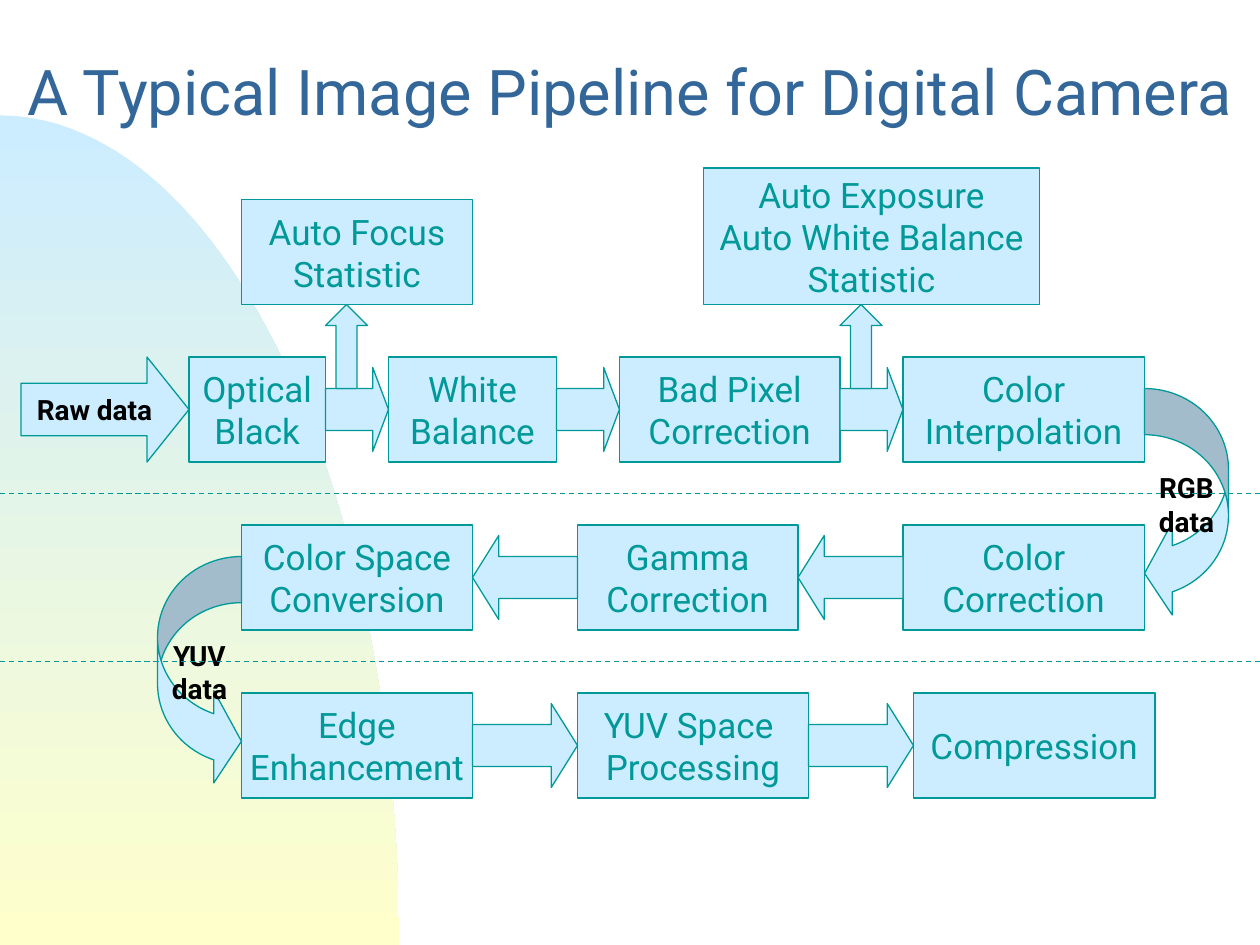
"""Draw the processing stages of a digital camera image pipeline."""
from dataclasses import dataclass
from itertools import pairwise
from math import cos, pi, sin

from lxml.etree import SubElement
from pptx import Presentation
from pptx.dml.color import RGBColor
from pptx.enum.dml import MSO_LINE_DASH_STYLE as Dash
from pptx.enum.shapes import MSO_CONNECTOR as Link, MSO_SHAPE as Kind
from pptx.enum.text import MSO_ANCHOR as Anchor, PP_ALIGN as Align
from pptx.oxml.ns import qn
from pptx.util import Cm, Pt

COLORS = {
    "title": "336699",
    "teal": "009999",
    "sky": "CCECFF",
    "cream": "FFFFCC",
    "label": "010000",
}
FONT = "Roboto"
STEP = 2.54 / 12
PAGE_WIDTH, PAGE_HEIGHT = 120, 90
ROW_HEIGHT, ARROW_HEIGHT = 10, 8


@dataclass(frozen=True)
class Stage:
    """A labelled box, measured in grid steps."""
    label: str
    left: int
    width: int


@dataclass(frozen=True)
class Row:
    """A chain of stages joined by arrows of one kind."""
    top: int
    arrow: Kind
    stages: tuple[Stage, ...]


@dataclass(frozen=True)
class Turn:
    """A curved arrow that leads from one row to the next."""
    kind: Kind
    label: str
    left: int
    top: int


ROWS = (
    Row(34, Kind.RIGHT_ARROW, (
        Stage("Optical\nBlack", 18, 13),
        Stage("White\nBalance", 37, 16),
        Stage("Bad Pixel\nCorrection", 59, 21),
        Stage("Color\nInterpolation", 86, 23),
    )),
    Row(50, Kind.LEFT_ARROW, (
        Stage("Color Space\nConversion", 23, 22),
        Stage("Gamma\nCorrection", 55, 21),
        Stage("Color\nCorrection", 86, 23),
    )),
    Row(66, Kind.RIGHT_ARROW, (
        Stage("Edge\nEnhancement", 23, 22),
        Stage("YUV Space \nProcessing", 55, 22),
        Stage("Compression", 87, 23),
    )),
)
TURNS = (
    Turn(Kind.CURVED_LEFT_ARROW, "RGB\ndata", 109, 37),
    Turn(Kind.CURVED_RIGHT_ARROW, "YUV\ndata", 15, 53),
)


def grid(steps: float) -> Cm:
    """Convert grid steps to a length."""
    return Cm(steps * STEP)


def color(name: str) -> RGBColor:
    """Look up a named colour."""
    return RGBColor.from_string(COLORS[name])


def write(box, text: str, *, size: int = 20, tint: str = "teal", bold: bool = False,
          wrap: bool = False, spacing: float | None = None) -> None:
    """Put centred text into a box."""
    frame = box.text_frame
    frame.word_wrap = wrap
    frame.vertical_anchor = Anchor.MIDDLE
    para = frame.paragraphs[0]
    para.text = text
    para.alignment = Align.CENTER
    para.line_spacing = spacing
    for span in para.runs:
        span.font.name = FONT
        span.font.size = Pt(size)
        span.font.bold = bold
        span.font.color.rgb = color(tint)


def add_block(page, kind: Kind, left: float, top: float, width: float, height: float):
    """Add a sky-blue preset shape with a teal outline."""
    block = page.shapes.add_shape(kind, grid(left), grid(top), grid(width), grid(height))
    block.shadow.inherit = False
    block.fill.solid()
    block.fill.fore_color.rgb = color("sky")
    block.line.color.rgb = color("teal")
    block.line.width = Pt(0.75)
    return block


def add_arrow(page, kind: Kind, left: float, top: float, width: float, height: float):
    """Add a straight block arrow whose head takes a quarter of its length."""
    arrow = add_block(page, kind, left, top, width, height)
    length = height if kind == Kind.UP_ARROW else width
    arrow.adjustments[0] = 0.5
    arrow.adjustments[1] = length / 4 / min(width, height)
    return arrow


def add_stage(page, stage: Stage, top: int, height: int = ROW_HEIGHT) -> None:
    """Add one labelled process box."""
    box = add_block(page, Kind.FLOWCHART_PROCESS, stage.left, top, stage.width, height)
    write(box, stage.label)


def add_row(page, row: Row) -> None:
    """Add a row of stages and fill the gaps between them with arrows."""
    for stage in row.stages:
        add_stage(page, stage, row.top)
    arrow_top = row.top + (ROW_HEIGHT - ARROW_HEIGHT) / 2
    for before, after in pairwise(row.stages):
        start = before.left + before.width
        add_arrow(page, row.arrow, start, arrow_top, after.left - start, ARROW_HEIGHT)


def add_turn(page, turn: Turn) -> None:
    """Add a labelled curved arrow."""
    arrow = add_block(page, turn.kind, turn.left, turn.top, 8, 22)
    for index, value in enumerate((0.55, 1.1, 0.33)):
        arrow.adjustments[index] = value
    write(arrow, turn.label, size=16, tint="label", bold=True)


def add_divider(page, top: int) -> None:
    """Add a dashed line across the page."""
    line = page.shapes.add_connector(
        Link.STRAIGHT, 0, grid(top), grid(PAGE_WIDTH), grid(top))
    line.line.color.rgb = color("teal")
    line.line.width = Pt(0.75)
    line.line.dash_style = Dash.DASH
    SubElement(line._element.spPr, qn("a:effectLst"))


def add_backdrop(page) -> None:
    """Add the quarter ellipse with its vertical gradient."""
    width, height, parts = 38, 79, 90
    angles = [pi / 2 * part / parts for part in range(parts + 1)]
    arc = [(grid(width * sin(angle)), grid(PAGE_HEIGHT - height * cos(angle)))
           for angle in angles]
    builder = page.shapes.build_freeform(*arc[0])
    builder.add_line_segments([*arc[1:], (0, grid(PAGE_HEIGHT))], close=True)
    backdrop = builder.convert_to_shape()
    backdrop.shadow.inherit = False
    backdrop.line.fill.background()
    backdrop.fill.gradient()
    backdrop.fill.gradient_angle = 270
    for stop, name in zip(backdrop.fill.gradient_stops, ("sky", "cream")):
        stop.color.rgb = color(name)


def main() -> None:
    """Build and save the deck."""
    deck = Presentation()
    deck.slide_width, deck.slide_height = grid(PAGE_WIDTH), grid(PAGE_HEIGHT)
    page = deck.slides.add_slide(deck.slide_layouts[6])
    add_backdrop(page)
    title = page.shapes.add_textbox(0, grid(2), grid(PAGE_WIDTH), grid(15))
    write(title, "A Typical Image Pipeline for Digital Camera",
          size=36, tint="title", wrap=True, spacing=0.7)
    add_stage(page, Stage("Auto Focus\nStatistic", 23, 22), 19)
    add_stage(page, Stage("Auto Exposure\nAuto White Balance\nStatistic", 67, 32), 16, 13)
    for row in ROWS:
        add_row(page, row)
    for turn in TURNS:
        add_turn(page, turn)
    source = add_arrow(page, Kind.RIGHT_ARROW, 2, 34, 16, 10)
    write(source, "Raw data", size=16, tint="label", bold=True)
    for left in (31, 80):
        add_arrow(page, Kind.UP_ARROW, left, 29, 4, 8)
    for top in (47, 63):
        add_divider(page, top)
    deck.save("out.pptx")


if __name__ == "__main__":
    main()
